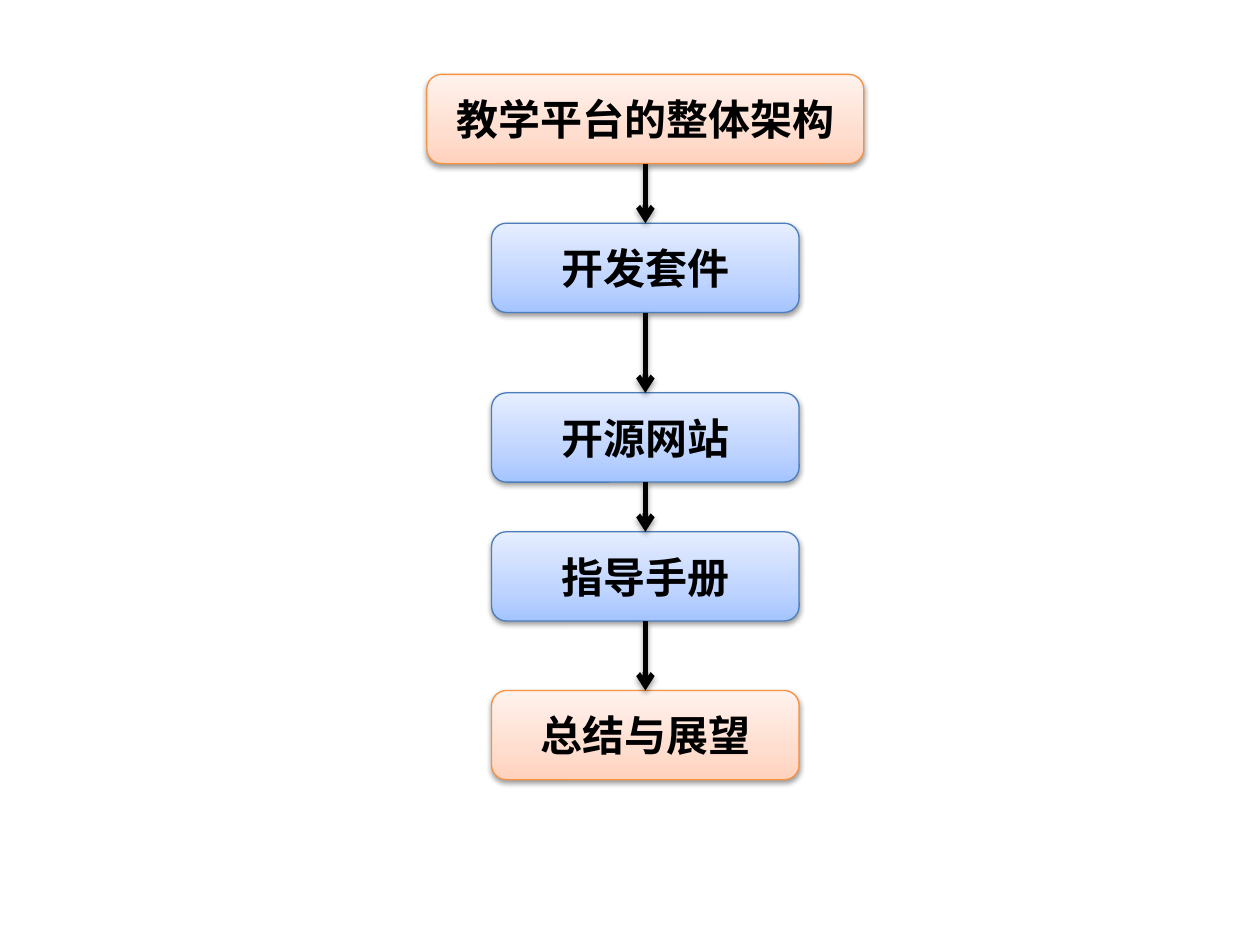
from copy import deepcopy
from itertools import pairwise

from lxml import etree
from pptx import Presentation
from pptx.dml.color import RGBColor
from pptx.enum.shapes import MSO_CONNECTOR, MSO_SHAPE
from pptx.enum.text import MSO_ANCHOR, PP_ALIGN
from pptx.oxml.ns import qn
from pptx.util import Cm, Pt

ROUNDED = MSO_SHAPE.ROUNDED_RECTANGLE
STRAIGHT = MSO_CONNECTOR.STRAIGHT
MIDDLE = MSO_ANCHOR.MIDDLE
CENTER = PP_ALIGN.CENTER

# Outline, then gradient colours from bottom to top
ORANGE = ("F69240", ("FFD2BD", "FFDED0", "FFF2ED"))
BLUE = ("4B7EBC", ("A4C4FF", "BFD4FF", "E6EEFF"))


def color(hex_text):
    """Turn a hex string into a colour."""
    return RGBColor.from_string(hex_text)


def add_shadow(element, distance, opacity):
    """Give a shape element a soft black shadow falling downwards."""
    properties = element.spPr
    effects = properties.find(qn("a:effectLst"))
    if effects is None:
        effects = etree.SubElement(properties, qn("a:effectLst"))
    shadow = etree.SubElement(
        effects, qn("a:outerShdw"), blurRad=str(Pt(3.1)),
        dist=str(Pt(distance)), dir="5400000", rotWithShape="0")
    black = etree.SubElement(shadow, qn("a:srgbClr"), val="000000")
    etree.SubElement(black, qn("a:alpha"), val=str(opacity * 1000))


class FlowSlide:
    """A slide with a vertical flow chart and its style."""

    font = "Noto Sans CJK SC"
    text_size = 24
    stops = (0, 0.35, 1)
    center = 13.01
    step_height = 1.8

    def __init__(self, slide):
        """Keep the slide to draw on."""
        self.slide = slide

    def step(self, label, top, width, palette):
        """Add a centred rounded step with a gradient fill."""
        outline, gradient = palette
        box = self.slide.shapes.add_shape(
            ROUNDED, Cm(self.center - width / 2), Cm(top),
            Cm(width), Cm(self.step_height))
        self.fill_gradient(box, gradient)
        box.line.color.rgb = color(outline)
        box.line.width = Pt(0.75)
        box.shadow.inherit = False
        add_shadow(box._element, 1.6, 38)
        self.set_label(box.text_frame, label)

    def fill_gradient(self, box, gradient):
        """Fill a box with three colours running upwards."""
        box.fill.gradient()
        box.fill.gradient_angle = 90
        stop_list = next(box._element.spPr.iter(qn("a:gsLst")))
        stop_list.append(deepcopy(stop_list[0]))
        for stop, position, tone in zip(box.fill.gradient_stops, self.stops, gradient):
            stop.position = position
            stop.color.rgb = color(tone)

    def set_label(self, frame, label):
        """Set bold centred black text."""
        frame.text = label
        frame.word_wrap = True
        frame.vertical_anchor = MIDDLE
        paragraph = frame.paragraphs[0]
        paragraph.alignment = CENTER
        run = paragraph.runs[0]
        run.font.name = self.font
        run.font.size = Pt(self.text_size)
        run.font.bold = True
        run.font.color.rgb = color("000000")
        etree.SubElement(run._r.rPr, qn("a:ea"), typeface=self.font)

    def arrow(self, start, end):
        """Add a downward arrow on the centre line."""
        link = self.slide.shapes.add_connector(
            STRAIGHT, Cm(self.center), Cm(start), Cm(self.center), Cm(end))
        link.line.color.rgb = color("000000")
        link.line.width = Pt(3)
        outline = link._element.spPr.find(qn("a:ln"))
        etree.SubElement(outline, qn("a:tailEnd"), type="arrow")
        add_shadow(link._element, 1.8, 35)


deck = Presentation()
deck.slide_width, deck.slide_height = Cm(25.4), Cm(19.05)
flow = FlowSlide(deck.slides.add_slide(deck.slide_layouts[6]))

steps = [
    ("教学平台的整体架构", 1.5, 8.81, ORANGE),
    ("开发套件", 4.5, 6.2, BLUE),
    ("开源网站", 7.92, 6.2, BLUE),
    ("指导手册", 10.72, 6.2, BLUE),
    ("总结与展望", 13.92, 6.2, ORANGE),
]
for step in steps:
    flow.step(*step)

tops = [top for _, top, _, _ in steps]
for upper, lower in pairwise(tops):
    flow.arrow(upper + flow.step_height, lower)

deck.save("out.pptx")
